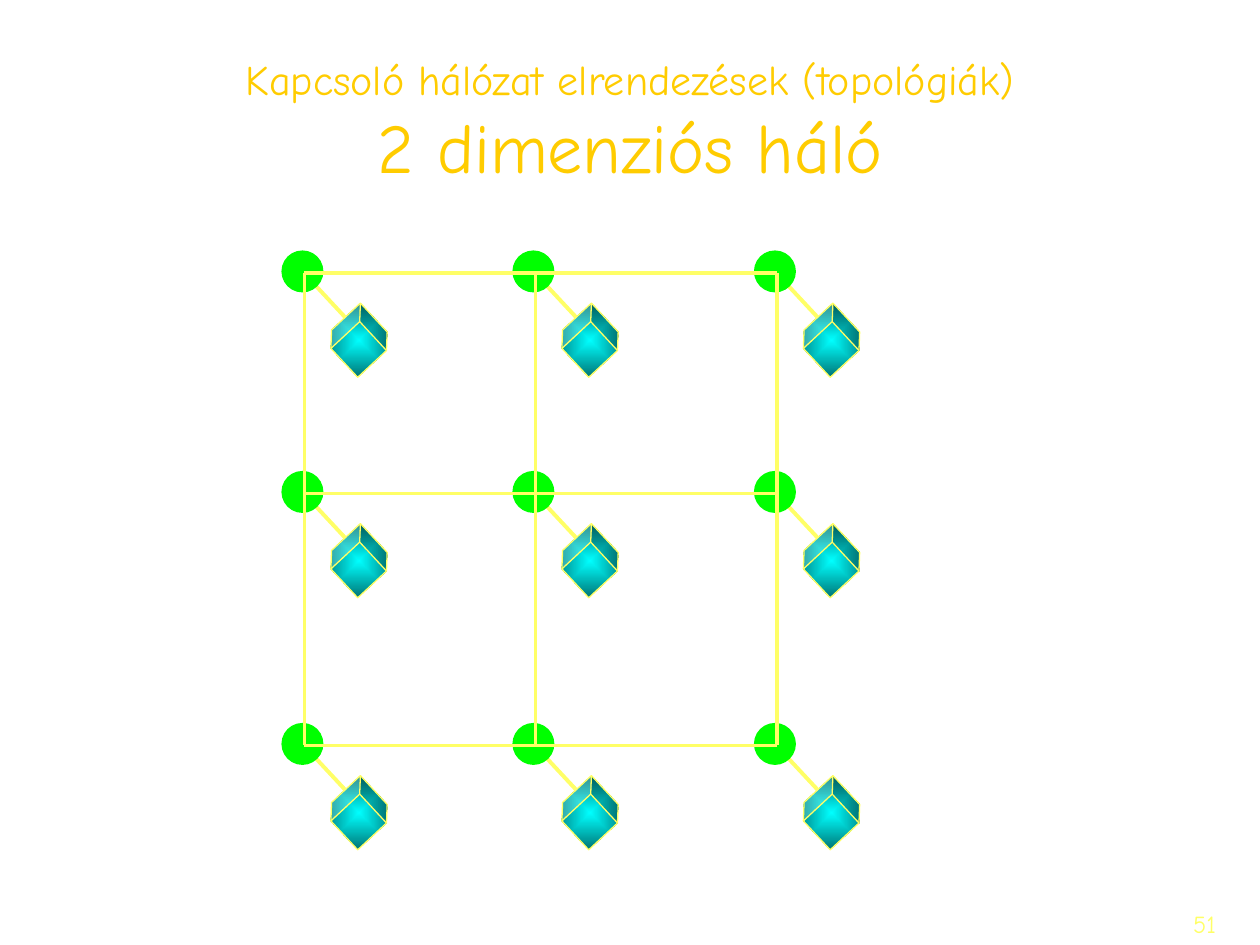
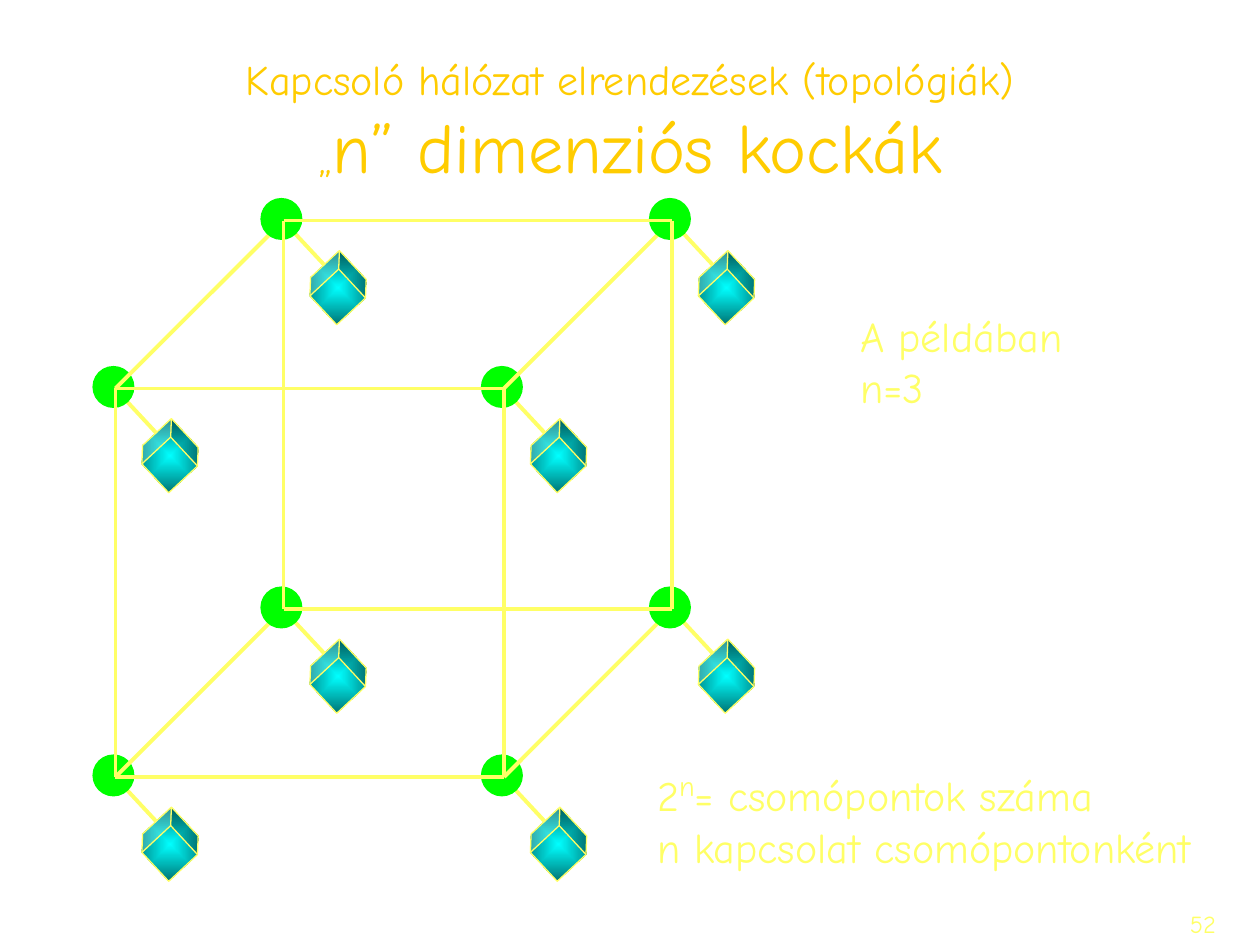
from dataclasses import dataclass
from itertools import product

from lxml.etree import SubElement
from pptx import Presentation
from pptx.dml.color import RGBColor
from pptx.enum.shapes import MSO_CONNECTOR, MSO_SHAPE
from pptx.enum.text import MSO_ANCHOR, MSO_AUTO_SIZE, PP_ALIGN
from pptx.oxml.ns import qn
from pptx.util import Inches, Pt

# Shared look: a grid of 120 columns by 90 rows, 12 cells to the inch
CELL = Inches(1) / 12
COLS, ROWS = 120, 90
FACE = "Comic Neue"
GOLD, LEMON, GREEN, AQUA, TEAL = "FFCC00", "FFFF66", "00FF00", "00FFFF", "007575"
THEME = "Kapcsoló hálózat elrendezések (topológiák)"
TITLE = {"vertical_anchor": MSO_ANCHOR.MIDDLE, "word_wrap": True}
FOOT = {"word_wrap": True}
NOTE = {"word_wrap": False, "auto_size": MSO_AUTO_SIZE.SHAPE_TO_FIT_TEXT}


@dataclass(frozen=True)
class Spot:
    x: float
    y: float

    def shift(self, dx: float, dy: float) -> "Spot":
        return Spot(self.x + dx, self.y + dy)


@dataclass(frozen=True)
class Box:
    x: float
    y: float
    w: float
    h: float

    def lengths(self) -> list[int]:
        return [cells(n) for n in (self.x, self.y, self.w, self.h)]


@dataclass(frozen=True)
class Bit:
    text: str
    size: int = 24
    raised: bool = False


BREAK = Bit("\n")


def cells(count: float) -> int:
    return round(count * CELL)


def tint(code: str) -> RGBColor:
    return RGBColor.from_string(code)


def apply(target, look: dict) -> None:
    for name, value in look.items():
        setattr(target, name, value)


# Text
def write(slide, box: Box, lines: list, color: str, look: dict, align=PP_ALIGN.LEFT) -> None:
    frame = slide.shapes.add_textbox(*box.lengths()).text_frame
    apply(frame, look)
    for index, bits in enumerate(lines):
        para = frame.add_paragraph() if index else frame.paragraphs[0]
        para.alignment = align
        for bit in bits:
            if bit is BREAK:
                para.add_line_break()
                continue
            run = para.add_run()
            run.text = bit.text
            apply(run.font, {"name": FACE, "size": Pt(bit.size)})
            run.font.color.rgb = tint(color)
            if bit.raised:
                run.font._element.set("baseline", "30000")


# Wires and nodes
def wire(slide, start: Spot, end: Spot) -> None:
    ends = [cells(n) for n in (start.x, start.y, end.x, end.y)]
    link = slide.shapes.add_connector(MSO_CONNECTOR.STRAIGHT, *ends)
    link.line.color.rgb = tint(LEMON)
    link.line.width = Pt(2.25)
    SubElement(link._element.spPr, qn("a:effectLst"))


def solid(slide, kind: MSO_SHAPE, mid: Spot, size: float):
    box = Box(mid.x - size / 2, mid.y - size / 2, size, size)
    shape = slide.shapes.add_shape(kind, *box.lengths())
    shape.shadow.inherit = False
    return shape


def glow(shape) -> None:
    shape.fill.gradient()
    for stop, color in zip(shape.fill.gradient_stops, (AQUA, TEAL)):
        stop.color.rgb = tint(color)
    grad = shape._element.spPr.find(qn("a:gradFill"))
    grad.remove(grad.find(qn("a:lin")))
    route = SubElement(grad, qn("a:path"), {"path": "rect"})
    SubElement(route, qn("a:fillToRect"), dict.fromkeys("ltrb", "50000"))


def node(slide, joint: Spot) -> None:
    hub = joint.shift(-0.2, -0.15)
    cube = solid(slide, MSO_SHAPE.CUBE, joint.shift(5.2, 6.4), 5)
    cube.adjustments[0] = 0.25
    cube.rotation = 317.1
    glow(cube)
    cube.line.color.rgb = tint(LEMON)
    cube.line.width = Pt(0.75)
    wire(slide, hub, hub.shift(4.1, 4.4))
    disc = solid(slide, MSO_SHAPE.OVAL, hub, 4)
    disc.fill.solid()
    disc.fill.fore_color.rgb = tint(GREEN)
    disc.line.fill.background()


def mesh(slide, xs: list, ys: list) -> None:
    """Draw a node at each crossing, then the full rows and columns."""
    for x, y in product(xs, ys):
        node(slide, Spot(x, y))
    for y in ys:
        wire(slide, Spot(xs[0], y), Spot(xs[-1], y))
    for x in xs:
        wire(slide, Spot(x, ys[0]), Spot(x, ys[-1]))


def start(deck, page: int, head: list):
    slide = deck.slides.add_slide(deck.slide_layouts[6])
    write(slide, Box(0, 4, COLS, 15), [[Bit(THEME), BREAK, *head]], GOLD, TITLE, PP_ALIGN.CENTER)
    write(slide, Box(92, 86, 25, 4), [[Bit(str(page), 14)]], LEMON, FOOT, PP_ALIGN.RIGHT)
    return slide


# Slides
def grid(deck) -> None:
    slide = start(deck, 51, [Bit("2 dimenziós háló", 40)])
    mesh(slide, [29, 51, 74], [26, 47, 71])


def cubes(deck) -> None:
    slide = start(deck, 52, [Bit("„"), Bit("n” dimenziós kockák", 40)])
    side, depth = 37, 16
    left, top = 11, 37
    xs, ys = [left, left + side], [top, top + side]
    mesh(slide, xs, ys)
    for x, y in product(xs, ys):
        wire(slide, Spot(x + depth, y - depth), Spot(x, y))
    mesh(slide, [x + depth for x in xs], [y - depth for y in ys])

    count = [Bit("2"), Bit("n", 28, True), Bit("= csomópontok száma")]
    write(slide, Box(61.4, 72, 53.5, 11.6),
          [count, [Bit("n kapcsolat csomópontonként")]], LEMON, NOTE)
    write(slide, Box(80.75, 29, 29, 6), [[Bit("A példában n=3")]], LEMON, NOTE)


def main() -> None:
    deck = Presentation()
    apply(deck, {"slide_width": cells(COLS), "slide_height": cells(ROWS)})
    grid(deck)
    cubes(deck)
    deck.save("out.pptx")


if __name__ == "__main__":
    main()
